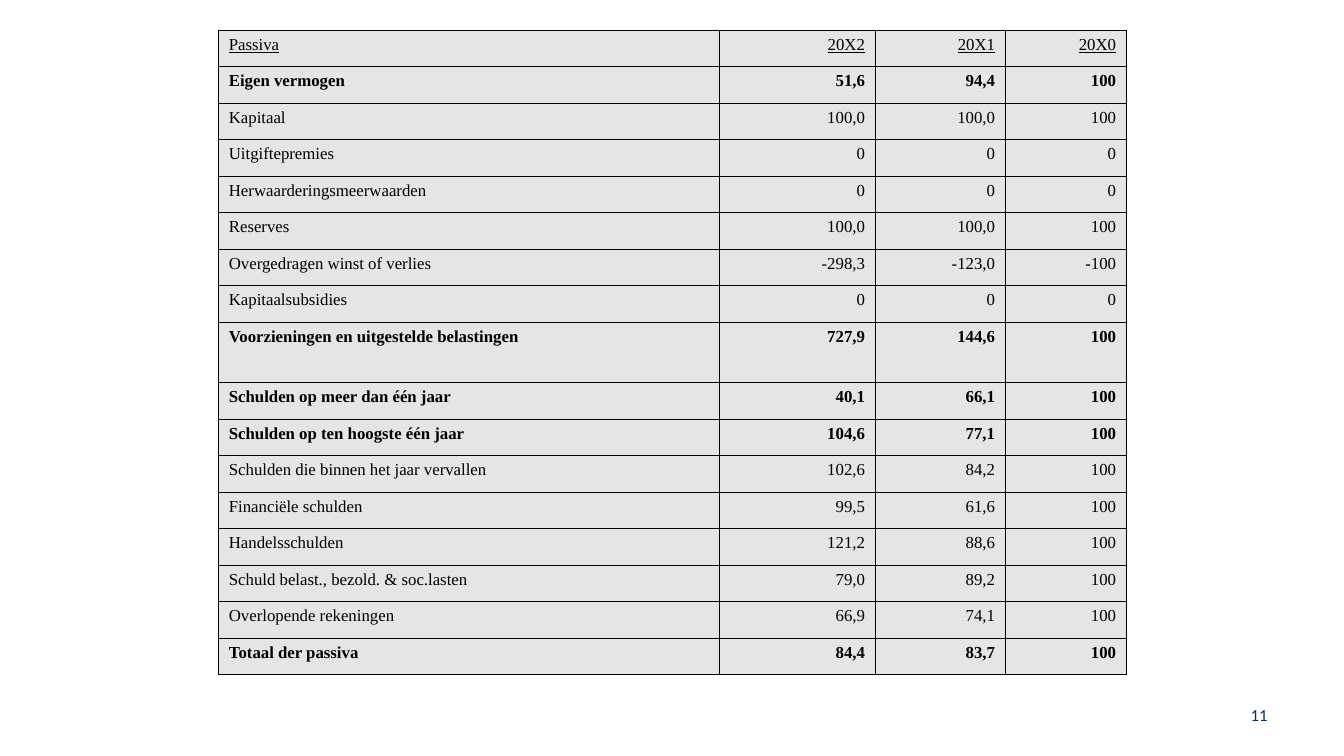
import pptx
import pptx.dml.color
import pptx.enum.text
import pptx.oxml
import pptx.oxml.ns
import pptx.util

ROWS = [
    ("Passiva", "20X2", "20X1", "20X0"),
    ("Eigen vermogen", "51,6", "94,4", "100"),
    ("Kapitaal", "100,0", "100,0", "100"),
    ("Uitgiftepremies", "0", "0", "0"),
    ("Herwaarderingsmeerwaarden", "0", "0", "0"),
    ("Reserves", "100,0", "100,0", "100"),
    ("Overgedragen winst of verlies", "-298,3", "-123,0", "-100"),
    ("Kapitaalsubsidies", "0", "0", "0"),
    ("Voorzieningen en uitgestelde belastingen", "727,9", "144,6", "100"),
    ("Schulden op meer dan één jaar", "40,1", "66,1", "100"),
    ("Schulden op ten hoogste één jaar", "104,6", "77,1", "100"),
    ("Schulden die binnen het jaar vervallen", "102,6", "84,2", "100"),
    ("Financiële schulden", "99,5", "61,6", "100"),
    ("Handelsschulden", "121,2", "88,6", "100"),
    ("Schuld belast., bezold. & soc.lasten", "79,0", "89,2", "100"),
    ("Overlopende rekeningen", "66,9", "74,1", "100"),
    ("Totaal der passiva", "84,4", "83,7", "100"),
]
HEADING_ROW = 0
TALL_ROW = 8
BOLD_ROWS = {1, 8, 9, 10, 16}
PAGE_NUMBER = "11"

COLORS = {"text": "000000", "border": "000000", "cell": "E5E5E5", "number": "002E65"}
TEXT_SIZE = 12
HANGING = 0.38
INNER_LINE, OUTER_LINE = 0.75, 1

# Grid in inches
LEFT, TOP, HEIGHT = 2.17, 0.3, 6.4
COLUMN_WIDTHS = [4.97, 1.54, 1.29, 1.2]
TALL_HEIGHT = 0.6
ROW_HEIGHT = (HEIGHT - TALL_HEIGHT) / (len(ROWS) - 1)

Inches = pptx.util.Inches
ALIGN = pptx.enum.text.PP_ALIGN


def add_span(para, text, font, color, bold=False, underline=False):
    span = para.add_run()
    span.text = text
    span.font.name = font
    span.font.size = pptx.util.Pt(TEXT_SIZE)
    span.font.bold = bold
    span.font.underline = underline
    span.font.color.rgb = pptx.dml.color.RGBColor.from_string(COLORS[color])


def add_borders(cell, outer_sides):
    properties = cell._tc.get_or_add_tcPr()
    for side in "LRTB":
        width = pptx.util.Pt(OUTER_LINE if side in outer_sides else INNER_LINE)
        properties.append(pptx.oxml.parse_xml(
            f'<a:ln{side} {pptx.oxml.ns.nsdecls("a")} w="{int(width)}">'
            f'<a:solidFill><a:srgbClr val="{COLORS["border"]}"/></a:solidFill>'
            f'<a:prstDash val="solid"/></a:ln{side}>'))


def fill_cell(cell, text, row, column):
    sides = {"L": column == 0, "R": column == len(COLUMN_WIDTHS) - 1,
             "T": row == 0, "B": row == len(ROWS) - 1}
    add_borders(cell, [side for side, outer in sides.items() if outer])
    cell.fill.solid()
    cell.fill.fore_color.rgb = pptx.dml.color.RGBColor.from_string(COLORS["cell"])
    para = cell.text_frame.paragraphs[0]
    if column:
        para.alignment = ALIGN.RIGHT
    else:
        para.alignment = ALIGN.LEFT if row == TALL_ROW else ALIGN.JUSTIFY
    indent = para._p.get_or_add_pPr()
    indent.set("marL", str(int(Inches(HANGING))))
    indent.set("indent", str(-int(Inches(HANGING))))
    add_span(para, text, "Times New Roman", "text",
             bold=row in BOLD_ROWS, underline=row == HEADING_ROW)


def main():
    deck = pptx.Presentation()
    deck.slide_width, deck.slide_height = Inches(13.33), Inches(7.5)
    page = deck.slides.add_slide(deck.slide_layouts[6])

    # Balance sheet table
    table = page.shapes.add_table(
        len(ROWS), len(COLUMN_WIDTHS), Inches(LEFT), Inches(TOP),
        Inches(sum(COLUMN_WIDTHS)), Inches(HEIGHT)).table
    table.first_row = table.horz_banding = False
    for column, width in enumerate(COLUMN_WIDTHS):
        table.columns[column].width = Inches(width)
    for row, texts in enumerate(ROWS):
        table.rows[row].height = Inches(TALL_HEIGHT if row == TALL_ROW else ROW_HEIGHT)
        for column, text in enumerate(texts):
            fill_cell(table.cell(row, column), text, row, column)

    # Page number
    box = page.shapes.add_textbox(Inches(9.56), Inches(6.83), Inches(3.11), Inches(0.52))
    frame = box.text_frame
    frame.word_wrap = True
    frame.vertical_anchor = pptx.enum.text.MSO_ANCHOR.MIDDLE
    frame.paragraphs[0].alignment = ALIGN.RIGHT
    add_span(frame.paragraphs[0], PAGE_NUMBER, "Calibri", "number")

    deck.save("out.pptx")


if __name__ == "__main__":
    main()
